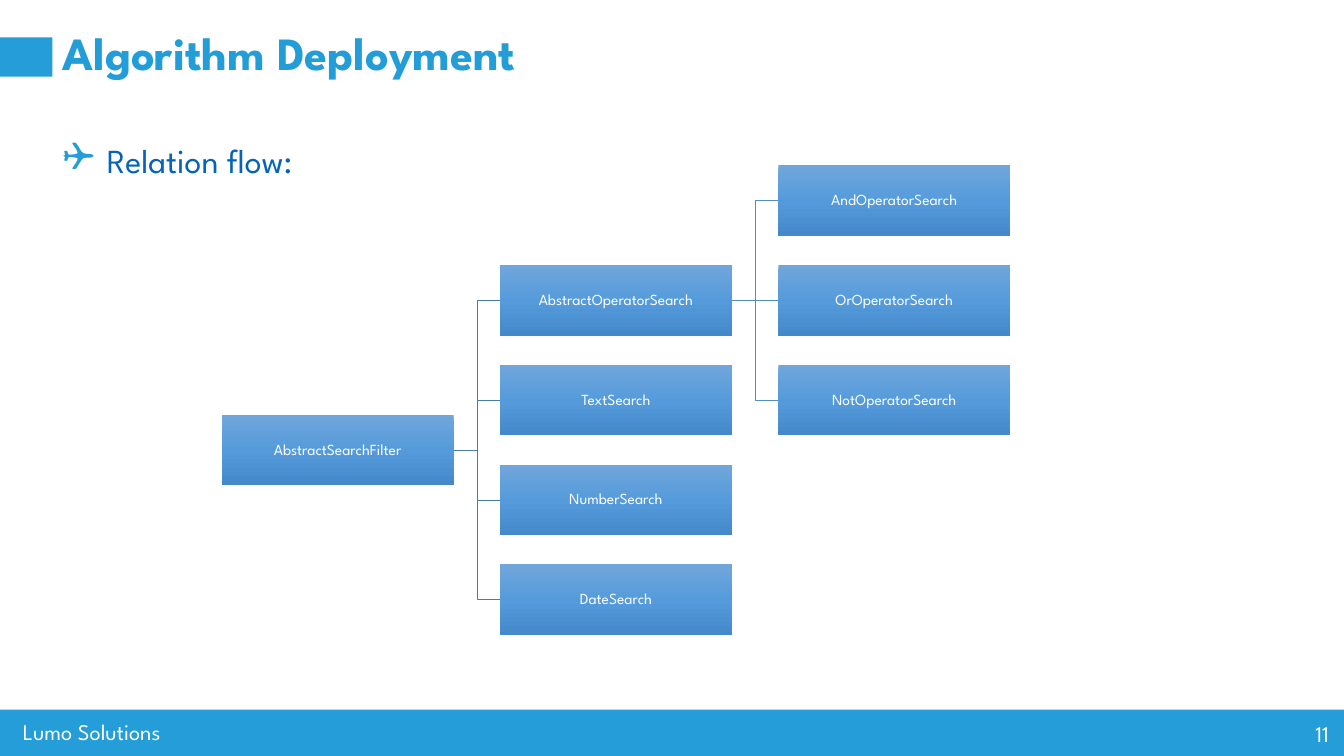
from copy import deepcopy
from dataclasses import dataclass

from lxml.etree import SubElement
from pptx import Presentation
from pptx.dml.color import RGBColor
from pptx.enum.shapes import MSO_CONNECTOR, MSO_SHAPE
from pptx.enum.text import MSO_ANCHOR, MSO_AUTO_SIZE, PP_ALIGN
from pptx.oxml.ns import qn
from pptx.util import Inches, Pt


@dataclass(frozen=True)
class Theme:
    font: str = "League Spartan"
    accent: str = "249DD8"
    title: str = "229DD8"
    body: str = "0563B8"
    white: str = "FFFFFF"
    gradient: tuple = ((0, "71A6DB"), (0.5, "559BDB"), (1, "448ACA"))
    branch_lines: tuple = ("497CAB", "538DC1")
    title_size: int = 33
    body_size: int = 24
    footer_size: int = 16
    node_size: int = 11


THEME = Theme()
SLIDE_WIDTH, SLIDE_HEIGHT = 13.33, 7.5
COLUMN_STEP, ROW_STEP = 2.76, 0.99
NODE_WIDTH, NODE_HEIGHT = 2.3, 0.7
LEFT_SITE, RIGHT_SITE = 1, 3

NODES = {
    "AbstractSearchFilter": (0, 2.5, None),
    "AbstractOperatorSearch": (1, 1, "AbstractSearchFilter"),
    "TextSearch": (1, 2, "AbstractSearchFilter"),
    "NumberSearch": (1, 3, "AbstractSearchFilter"),
    "DateSearch": (1, 4, "AbstractSearchFilter"),
    "AndOperatorSearch": (2, 0, "AbstractOperatorSearch"),
    "OrOperatorSearch": (2, 1, "AbstractOperatorSearch"),
    "NotOperatorSearch": (2, 2, "AbstractOperatorSearch"),
}


def set_attributes(target, values):
    for name, value in values.items():
        setattr(target, name, value)


def place(shape, box):
    names = ("left", "top", "width", "height")
    set_attributes(shape, dict(zip(names, map(Inches, box))))


def write(shape, text, size, color, bold=False, frame_format=None, **paragraph_format):
    frame = shape.text_frame
    frame.text = text
    set_attributes(frame, {"word_wrap": True, "auto_size": MSO_AUTO_SIZE.NONE})
    set_attributes(frame, frame_format or {})
    paragraph = frame.paragraphs[0]
    set_attributes(paragraph, paragraph_format)
    font = paragraph.runs[0].font
    set_attributes(font, {"name": THEME.font, "size": Pt(size), "bold": bold})
    font.color.rgb = RGBColor.from_string(color)
    return paragraph


def add_rectangle(slide, box):
    shape = slide.shapes.add_shape(MSO_SHAPE.RECTANGLE, *map(Inches, box))
    shape.shadow.inherit = False
    shape.line.fill.background()
    return shape


def add_band(slide, box):
    band = add_rectangle(slide, box)
    band.fill.solid()
    band.fill.fore_color.rgb = RGBColor.from_string(THEME.accent)


def add_header(slide, box):
    left, top, width, height = box
    tab_width = 0.52
    add_band(slide, (left, top + 0.06, tab_width, 0.39))
    title = slide.shapes.title
    place(title, (left + tab_width, top, width - tab_width, height))
    write(title, "Algorithm Deployment", THEME.title_size, THEME.title, True,
          {"vertical_anchor": MSO_ANCHOR.MIDDLE},
          alignment=PP_ALIGN.LEFT, line_spacing=0.9)


def add_topic(slide, box):
    body = slide.placeholders[1]
    place(body, box)
    paragraph = write(body, "Relation flow:", THEME.body_size, THEME.body,
                      line_spacing=1.5, space_before=Pt(0))
    properties = paragraph._p.get_or_add_pPr()
    indent = Inches(0.44)
    properties.set("marL", str(indent))
    properties.set("indent", str(-indent))
    color = SubElement(properties, qn("a:buClr"))
    SubElement(color, qn("a:srgbClr"), val=THEME.accent)
    SubElement(properties, qn("a:buSzPct"), val="120000")
    SubElement(properties, qn("a:buFont"), typeface="Wingdings")
    SubElement(properties, qn("a:buChar"), char="❑")


def add_node(slide, label, box):
    node = add_rectangle(slide, box)
    node.fill.gradient()
    node.fill.gradient_angle = 270
    stops = node._element.spPr.find(".//" + qn("a:gsLst"))
    stops.insert(1, deepcopy(stops[0]))
    for stop, (position, color) in zip(node.fill.gradient_stops, THEME.gradient):
        stop.position = position
        stop.color.rgb = RGBColor.from_string(color)
    margins = ("margin_left", "margin_top", "margin_right", "margin_bottom")
    frame_format = dict.fromkeys(margins, Inches(0.01))
    frame_format["vertical_anchor"] = MSO_ANCHOR.MIDDLE
    write(node, label, THEME.node_size, THEME.white, frame_format=frame_format,
          alignment=PP_ALIGN.CENTER, line_spacing=0.9)
    return node


def add_branch(slide, parent, child, color, straight):
    kind = MSO_CONNECTOR.STRAIGHT if straight else MSO_CONNECTOR.ELBOW
    branch = slide.shapes.add_connector(kind, 0, 0, 0, 0)
    branch.begin_connect(parent, RIGHT_SITE)
    branch.end_connect(child, LEFT_SITE)
    branch.line.width = Pt(0.5)
    branch.line.color.rgb = RGBColor.from_string(color)
    SubElement(branch._element.spPr, qn("a:effectLst"))


def add_hierarchy(slide, origin):
    left, top = origin
    shapes = {}
    for label, (column, row, parent) in NODES.items():
        box = (left + column * COLUMN_STEP, top + row * ROW_STEP, NODE_WIDTH, NODE_HEIGHT)
        shapes[label] = add_node(slide, label, box)
        if parent:
            parent_column, parent_row, _ = NODES[parent]
            add_branch(slide, shapes[parent], shapes[label],
                       THEME.branch_lines[parent_column], row == parent_row)


def add_footer(slide, box):
    left, top, width, height = box
    add_band(slide, box)
    entries = (
        ("Lumo Solutions", left + 0.13, 0.03, 4.2, PP_ALIGN.LEFT),
        ("11", left + width - 3.05, 0.05, 3, PP_ALIGN.RIGHT),
    )
    for text, entry_left, offset, entry_width, alignment in entries:
        entry_box = (entry_left, top + offset, entry_width, 0.38)
        entry = slide.shapes.add_textbox(*map(Inches, entry_box))
        write(entry, text, THEME.footer_size, THEME.white, alignment=alignment)


def main():
    presentation = Presentation()
    set_attributes(presentation, {"slide_width": Inches(SLIDE_WIDTH),
                                  "slide_height": Inches(SLIDE_HEIGHT)})
    slide = presentation.slides.add_slide(presentation.slide_layouts[1])
    add_footer(slide, (0, 7.04, SLIDE_WIDTH, SLIDE_HEIGHT - 7.04))
    add_header(slide, (0, 0.31, SLIDE_WIDTH, 0.48))
    add_topic(slide, (0.52, 1.14, 3.19, 0.73))
    add_hierarchy(slide, (2.2, 1.64))
    presentation.save("out.pptx")


if __name__ == "__main__":
    main()
